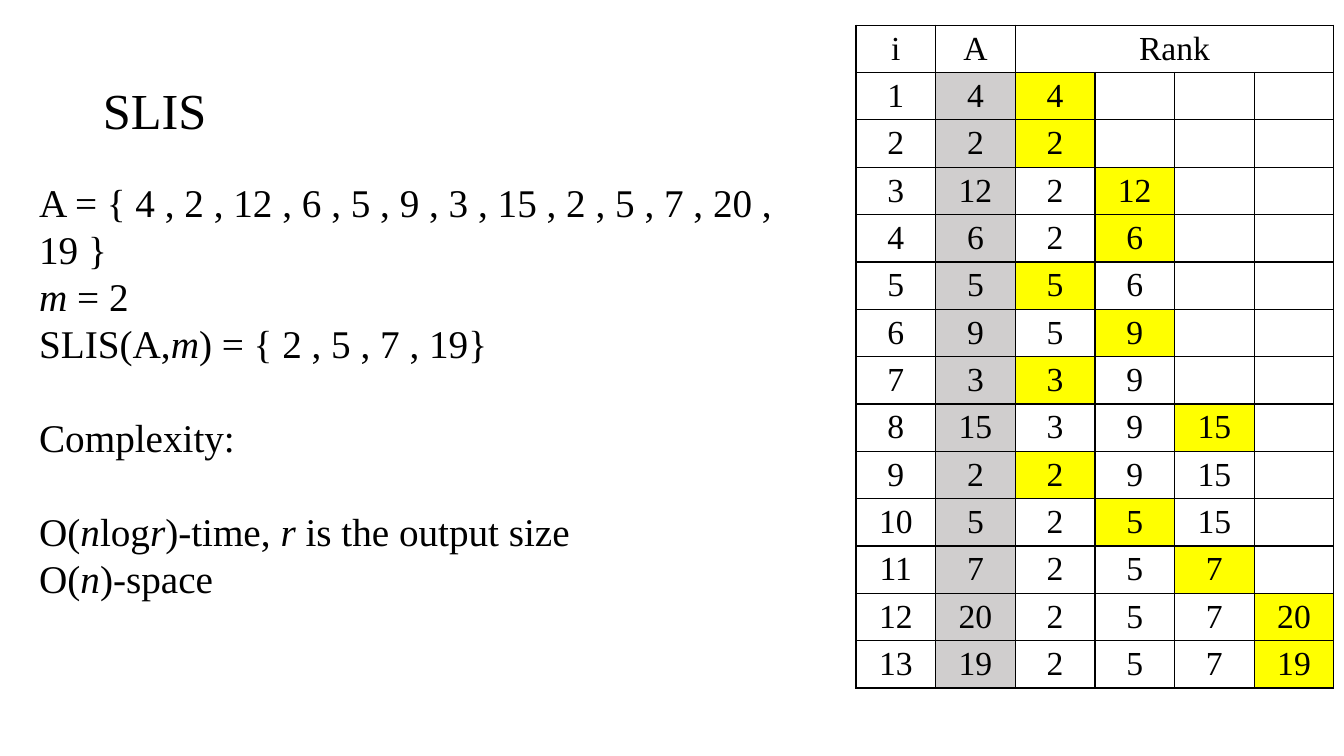
"""Build the SLIS slide: example sequence, complexity and rank table."""
import pptx
import pptx.dml.color
import pptx.enum.text
import pptx.util
from lxml import etree
from pptx.oxml.ns import qn

Inches, Pt = pptx.util.Inches, pptx.util.Pt
RGBColor = pptx.dml.color.RGBColor
ALIGN = pptx.enum.text.PP_ALIGN
ANCHOR = pptx.enum.text.MSO_ANCHOR

BLACK = RGBColor(0x00, 0x00, 0x00)
WHITE = RGBColor(0xFF, 0xFF, 0xFF)
GREY = RGBColor(0xD0, 0xCE, 0xCE)
YELLOW = RGBColor(0xFF, 0xFF, 0x00)
FONT = "Times New Roman"
LINE_PITCH = Pt(33.6)

TITLE = "SLIS"
ITALIC_VARIABLES = ("m", "n", "r")
BODY = [
    (0, ["A = { 4 , 2 , 12 , 6 , 5 , 9 , 3 , 15 , 2 , 5 , 7 , 20 , 19 }"]),
    (0, ["m", " = 2"]),
    (0, ["SLIS(A,", "m", ") = { 2 , 5 , 7 , 19}"]),
    (1, ["Complexity:"]),
    (1, ["O(", "n", "log", "r", ")-time, ", "r", " is the output size"]),
    (0, ["O(", "n", ")-space"]),
]
HEADER = ["i", "A", "Rank"]
STEPS = [
    (4, [4]),
    (2, [2]),
    (12, [2, 12]),
    (6, [2, 6]),
    (5, [5, 6]),
    (9, [5, 9]),
    (3, [3, 9]),
    (15, [3, 9, 15]),
    (2, [2, 9, 15]),
    (5, [2, 5, 15]),
    (7, [2, 5, 7]),
    (20, [2, 5, 7, 20]),
    (19, [2, 5, 7, 19]),
]
RANK_COLUMNS = 4
COLUMN_WIDTH, ROW_HEIGHT = Inches(0.79), Inches(0.47)


def set_font(paragraph, size):
    paragraph.font.name = FONT
    paragraph.font.size = Pt(size)
    paragraph.font.color.rgb = BLACK


def add_borders(cell):
    properties = cell._tc.get_or_add_tcPr()
    for position, side in enumerate(("lnL", "lnR", "lnT", "lnB")):
        line = etree.Element(qn(f"a:{side}"), w=str(Pt(1)))
        fill = etree.SubElement(line, qn("a:solidFill"))
        etree.SubElement(fill, qn("a:srgbClr"), val=str(BLACK))
        properties.insert(position, line)


def fill_cell(cell, value, color):
    cell.fill.solid()
    cell.fill.fore_color.rgb = color
    add_borders(cell)
    paragraph = cell.text_frame.paragraphs[0]
    paragraph.text = str(value)
    paragraph.alignment = ALIGN.CENTER
    set_font(paragraph, 24)


def add_title(slide):
    title = slide.shapes.title
    title.left, title.top = Inches(0.92), Inches(0.4)
    title.width, title.height = Inches(12.31), Inches(1.45)
    title.text_frame.vertical_anchor = ANCHOR.MIDDLE
    paragraph = title.text_frame.paragraphs[0]
    paragraph.text = TITLE
    paragraph.alignment = ALIGN.LEFT
    paragraph.line_spacing = 0.9
    set_font(paragraph, 36)


def add_body(slide):
    box = slide.shapes.add_textbox(Inches(0.29), Inches(1.72), Inches(8.2), Inches(3.87))
    frame = box.text_frame
    frame.word_wrap = True
    frame.margin_right = Inches(0.5)
    for index, (lines_before, parts) in enumerate(BODY):
        paragraph = frame.add_paragraph() if index else frame.paragraphs[0]
        paragraph.line_spacing = LINE_PITCH
        if lines_before:
            paragraph.space_before = lines_before * LINE_PITCH
        set_font(paragraph, 28)
        for part in parts:
            run = paragraph.add_run()
            run.text = part
            if part in ITALIC_VARIABLES:
                run.font.italic = True


def add_rank_table(slide):
    row_count, column_count = len(STEPS) + 1, 2 + RANK_COLUMNS
    table = slide.shapes.add_table(
        row_count, column_count, Inches(8.49), Inches(0.25),
        column_count * COLUMN_WIDTH, row_count * ROW_HEIGHT).table
    table.first_row = table.horz_banding = False
    for column in table.columns:
        column.width = COLUMN_WIDTH
    for row in table.rows:
        row.height = ROW_HEIGHT

    rows = [HEADER] + [[i, value, *ranks] for i, (value, ranks) in enumerate(STEPS, 1)]
    for row, values in enumerate(rows):
        for column in range(column_count):
            value = values[column] if column < len(values) else ""
            color = WHITE
            if row and column == 1:
                color = GREY
            elif row and column > 1 and value == values[1]:
                color = YELLOW
            fill_cell(table.cell(row, column), value, color)
    table.cell(0, 2).merge(table.cell(0, column_count - 1))


def main():
    presentation = pptx.Presentation()
    presentation.slide_width, presentation.slide_height = Inches(13.33), Inches(7.5)
    slide = presentation.slides.add_slide(presentation.slide_layouts[5])
    add_rank_table(slide)
    add_title(slide)
    add_body(slide)
    presentation.save("out.pptx")


if __name__ == "__main__":
    main()
